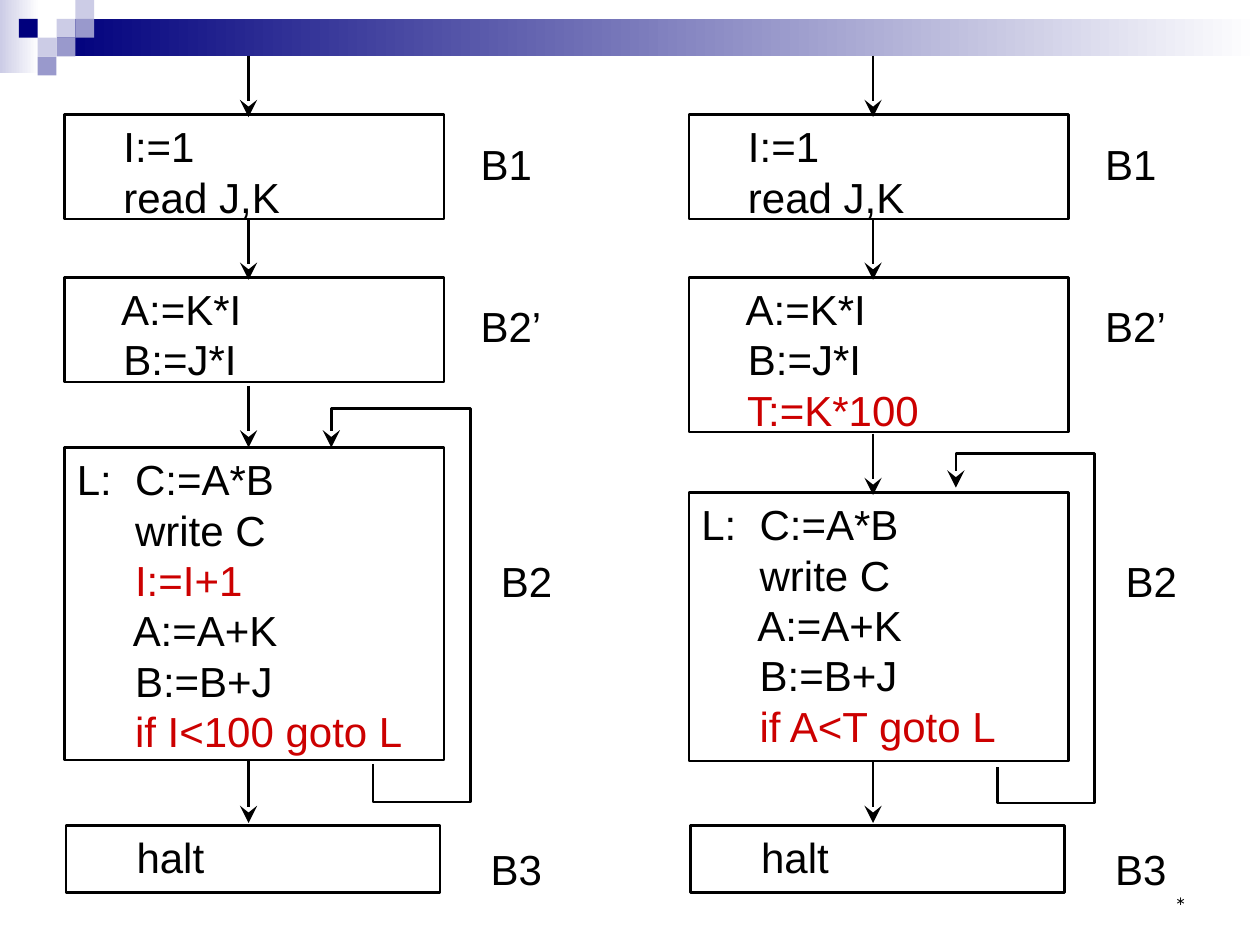
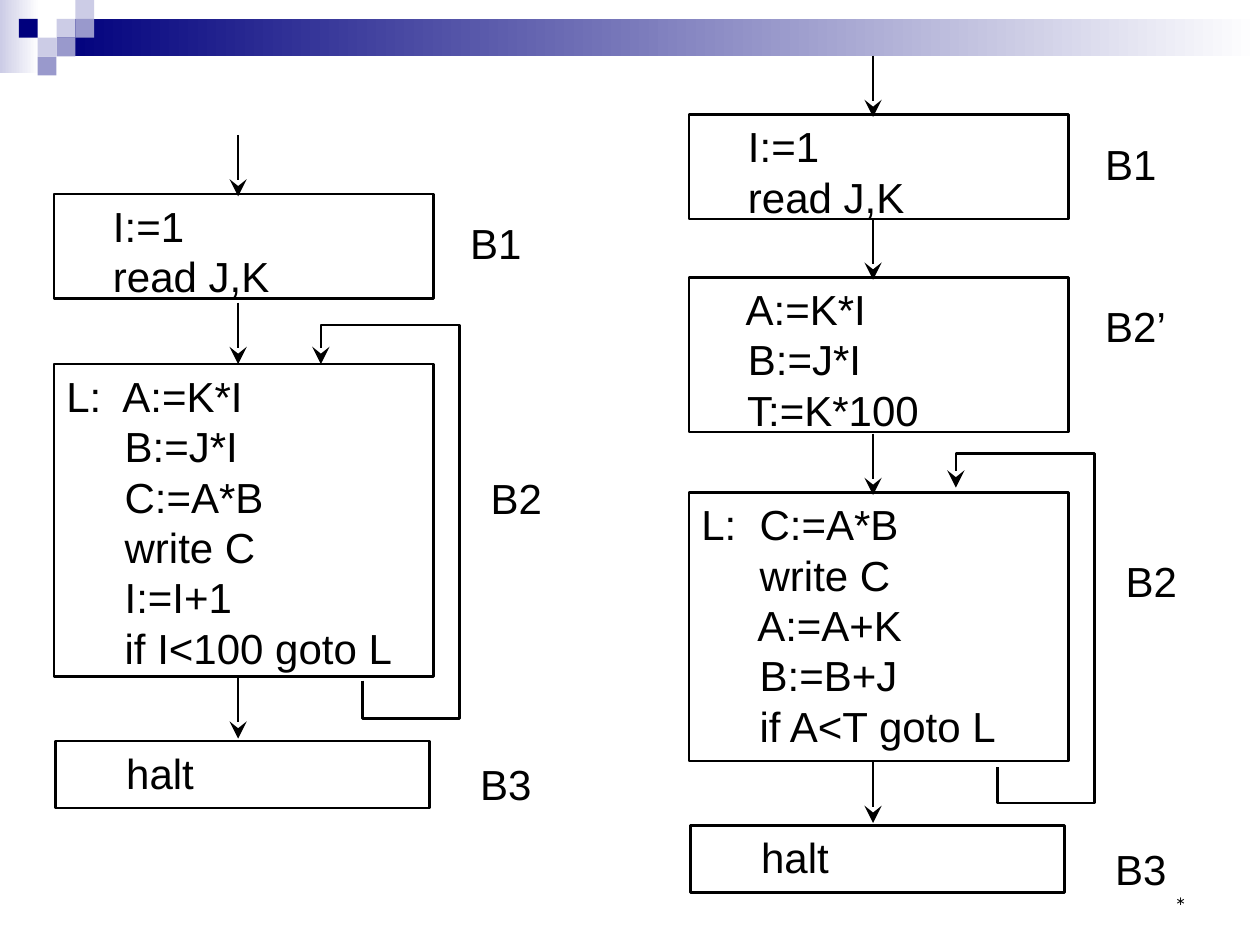
from dataclasses import dataclass, replace

from lxml import etree
from pptx import Presentation
from pptx.dml.color import RGBColor
from pptx.enum.shapes import MSO_CONNECTOR, MSO_SHAPE
from pptx.enum.text import MSO_ANCHOR, MSO_AUTO_SIZE, PP_ALIGN
from pptx.oxml.ns import qn
from pptx.util import Cm, Pt

RECTANGLE = MSO_SHAPE.RECTANGLE
STRAIGHT = MSO_CONNECTOR.STRAIGHT
LEFT, RIGHT = PP_ALIGN.LEFT, PP_ALIGN.RIGHT
TOP, BOTTOM = MSO_ANCHOR.TOP, MSO_ANCHOR.BOTTOM
FIT_SHAPE = MSO_AUTO_SIZE.SHAPE_TO_FIT_TEXT

COLORS = {
    "ink": "000000",
    "change": "CC0000",
    "navy": "00007D",
    "violet": "9999CC",
    "pale": "CCCCE6",
    "white": "FFFFFF",
}
CODE_FONT, FOOTER_FONT = "Arial", "Montserrat"

# All measures below are centimetres.
TILE = 0.38
TILES = [  # column, row, colour
    (3, 1, "pale"), (4, 0, "pale"), (4, 1, "violet"), (2, 2, "pale"),
    (1, 1, "navy"), (3, 2, "violet"), (2, 3, "violet"),
]
ARROW_X, ARROW_LENGTH = 3.71, 1.24
LOOP_EXIT_X, LOOP_SIDE_X, LOOP_ENTRY_X = 6.22, 8.18, 5.38


@dataclass
class Block:
    """A basic block; tip is how far its incoming arrow reaches past its top."""
    label: str
    top: float
    height: float
    lines: tuple
    label_x: float = 7.9
    label_drop: float = 0.35
    tip: float = 0.05
    indent: float = 0
    width: float = 7.65
    loop_gap: float | None = None


INIT = Block("B1", 2.31, 2.11, ("    I:=1", "    read J,K"))
PREHEADER = Block("B2’", 5.59, 2.11, ("    A:=K*I", "    B:=J*I"))
HALT = Block("B3", 16.64, 1.35, ("     halt",), label_x=8.1,
             label_drop=0.23, tip=-0.05, indent=0.03, width=7.54)
LOOP = Block("B2", 9.02, 6.3,
             ("L:  C:=A*B", "     write C", "     I:=I+1", "     A:=A+K",
              "     B:=B+J", "     if I<100 goto L"),
             label_x=8.31, label_drop=2.06, tip=0, loop_gap=0)

REDUCED = [INIT, PREHEADER, LOOP, HALT]
REPLACED_TEST = [
    INIT,
    replace(PREHEADER, height=3.12, lines=PREHEADER.lines + ("    T:=K*100",)),
    replace(LOOP, top=9.93, height=5.41, label_drop=1.14, tip=0.05, loop_gap=0.1,
            lines=("L:  C:=A*B", "     write C", "     A:=A+K", "     B:=B+J",
                   "     if A<T goto L")),
    HALT,
]
UNOPTIMIZED = [
    replace(INIT, top=3.91),
    replace(LOOP, top=7.34,
            lines=("L:  A:=K*I", "     B:=J*I", "     C:=A*B", "     write C",
                   "     I:=I+1", "     if I<100 goto L")),
    replace(HALT, top=14.94),
]
CHANGED_LINES = {"I:=I+1", "if I<100 goto L", "T:=K*100", "if A<T goto L"}


def rgb(name):
    return RGBColor.from_string(COLORS[name])


def style_line(line):
    line.color.rgb = rgb("ink")
    line.width = Pt(1.5)


def add_arrowhead(shape):
    tail = etree.SubElement(shape.line._get_or_add_ln(), qn("a:tailEnd"))
    tail.set("type", "stealth")
    tail.set("w", "lg")
    tail.set("len", "lg")


def style_paragraph(paragraph, color="ink", font=CODE_FONT, size=24, align=LEFT):
    paragraph.alignment = align
    paragraph.font.name = font
    paragraph.font.size = Pt(size)
    paragraph.font.color.rgb = rgb(color)


def add_panel(slide, left, top, width, height, color, fade_to=None):
    panel = slide.shapes.add_shape(
        RECTANGLE, Cm(left), Cm(top), Cm(width), Cm(height))
    panel.shadow.inherit = False
    panel.line.fill.background()
    if fade_to:
        panel.fill.gradient()
        panel.fill.gradient_angle = 0
        for stop, name in zip(panel.fill.gradient_stops, (color, fade_to)):
            stop.color.rgb = rgb(name)
    else:
        panel.fill.solid()
        panel.fill.fore_color.rgb = rgb(color)


def add_banner(slide):
    add_panel(slide, 0, 0, 0.79, 1.47, "pale", "white")
    add_panel(slide, 1.14, 0.38, 24.26, 0.76, "navy", "white")
    for column, row, color in TILES:
        add_panel(slide, column * TILE, row * TILE, TILE, TILE, color)


def add_footer(slide):
    footer = slide.shapes.add_textbox(Cm(18.21), Cm(17.35), Cm(5.92), Cm(1.27))
    frame = footer.text_frame
    frame.word_wrap = True
    frame.vertical_anchor = BOTTOM
    frame.text = "*"
    style_paragraph(frame.paragraphs[0], font=FOOTER_FONT, size=12, align=RIGHT)


def add_code_box(slide, left, block, changed):
    box = slide.shapes.add_shape(
        RECTANGLE, Cm(left + block.indent), Cm(block.top),
        Cm(block.width), Cm(block.height))
    box.shadow.inherit = False
    box.fill.background()
    style_line(box.line)
    frame = box.text_frame
    frame.word_wrap = True
    frame.vertical_anchor = TOP
    frame.text = "\n".join(block.lines)
    for paragraph in frame.paragraphs:
        is_changed = paragraph.text.strip() in changed
        style_paragraph(paragraph, "change" if is_changed else "ink")


def add_label(slide, left, block):
    label = slide.shapes.add_textbox(
        Cm(left + block.label_x), Cm(block.top + block.label_drop),
        Cm(2.11), Cm(1.27))
    frame = label.text_frame
    frame.word_wrap = True
    frame.auto_size = FIT_SHAPE
    frame.margin_left = Cm(0.49)
    frame.margin_right = 0
    frame.text = block.label
    style_paragraph(frame.paragraphs[0])


def add_incoming_arrow(slide, left, block):
    x, end = Cm(left + ARROW_X), block.top + block.tip
    arrow = slide.shapes.add_connector(
        STRAIGHT, x, Cm(end - ARROW_LENGTH), x, Cm(end))
    style_line(arrow.line)
    add_arrowhead(arrow)
    etree.SubElement(arrow._element.spPr, qn("a:effectLst"))


def add_back_edge(slide, left, block):
    """Lead from below the loop block round its right side to its top."""
    bottom = block.top + block.height
    low, high = bottom + 0.85, block.top - 0.79
    route = [
        (LOOP_EXIT_X, bottom + 0.08 + block.loop_gap / 2),
        (LOOP_EXIT_X, low),
        (LOOP_SIDE_X, low),
        (LOOP_SIDE_X, high),
        (LOOP_ENTRY_X, high),
        (LOOP_ENTRY_X, block.top - block.loop_gap),
    ]
    start, *corners = [(Cm(left + x), Cm(y)) for x, y in route]
    builder = slide.shapes.build_freeform(*start)
    builder.add_line_segments(corners, close=False)
    edge = builder.convert_to_shape()
    edge.shadow.inherit = False
    edge.fill.background()
    style_line(edge.line)
    add_arrowhead(edge)


def add_flowchart(slide, left, blocks, changed=frozenset()):
    for block in blocks:
        add_code_box(slide, left, block, changed)
        add_label(slide, left, block)
        add_incoming_arrow(slide, left, block)
        if block.loop_gap is not None:
            add_back_edge(slide, left, block)


def add_framed_slide(deck):
    slide = deck.slides.add_slide(deck.slide_layouts[6])
    add_banner(slide)
    add_footer(slide)
    return slide


def main():
    deck = Presentation()
    deck.slide_width, deck.slide_height = Cm(25.4), Cm(19.05)

    test_replacement = add_framed_slide(deck)
    add_flowchart(test_replacement, 1.3, REDUCED, CHANGED_LINES)
    add_flowchart(test_replacement, 13.89, REPLACED_TEST, CHANGED_LINES)

    before_and_after = add_framed_slide(deck)
    add_flowchart(before_and_after, 1.09, UNOPTIMIZED)
    add_flowchart(before_and_after, 13.89, REPLACED_TEST)

    deck.save("out.pptx")


if __name__ == "__main__":
    main()
